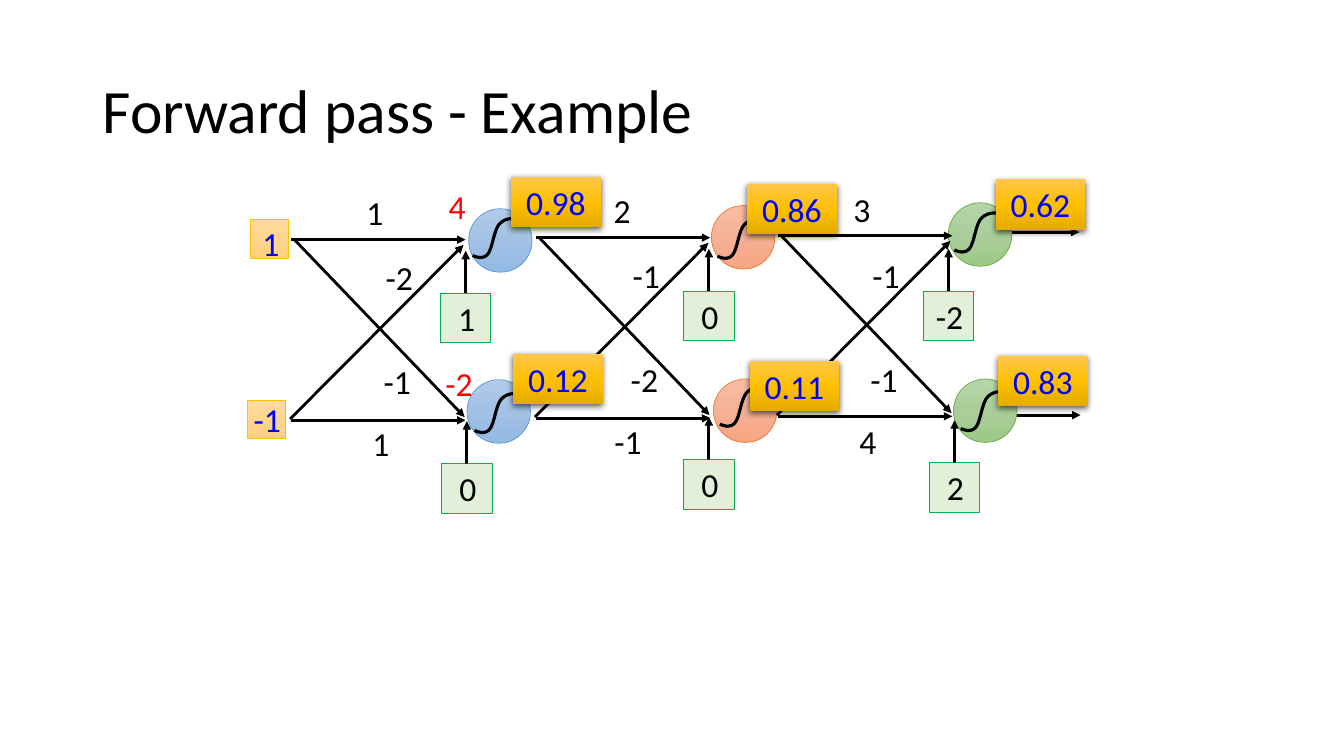
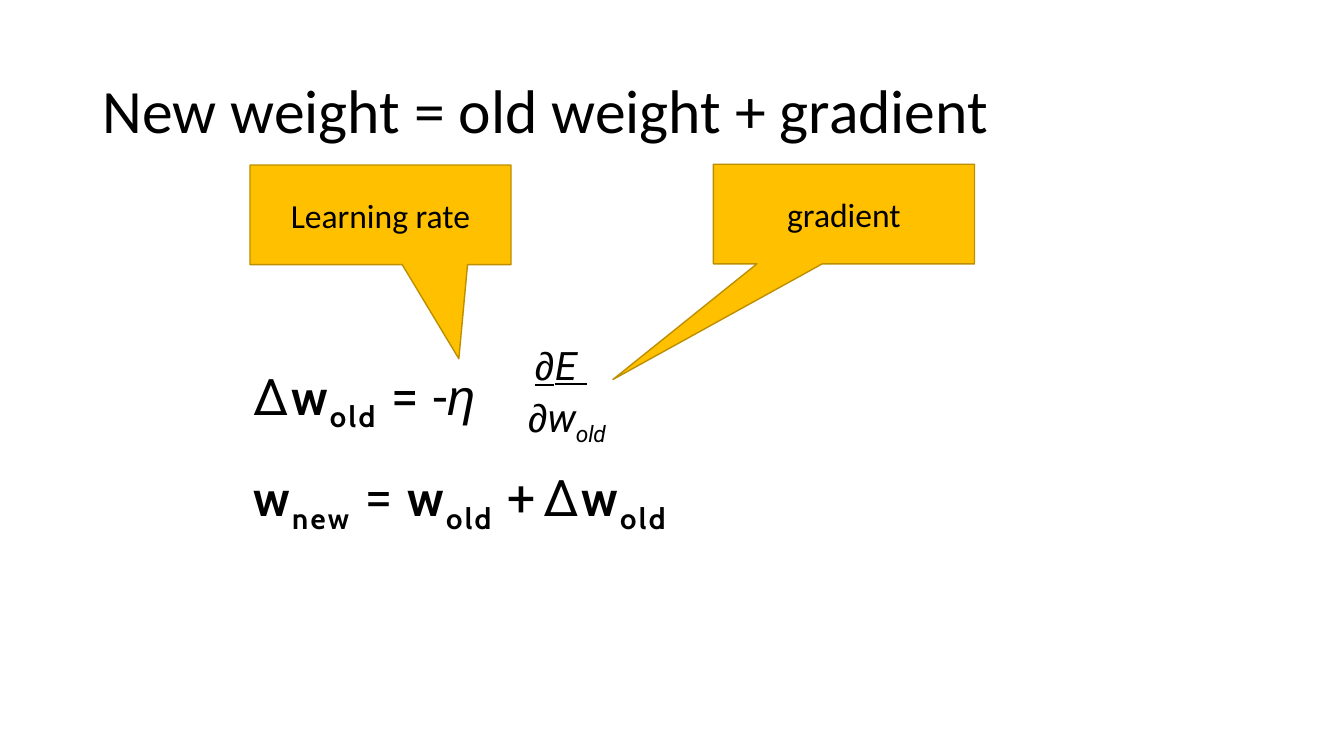
from collections import namedtuple

from lxml import etree
from pptx import Presentation
from pptx.dml.color import RGBColor
from pptx.enum.shapes import MSO_CONNECTOR, MSO_SHAPE
from pptx.enum.text import MSO_ANCHOR, PP_ALIGN
from pptx.oxml.ns import qn
from pptx.util import Cm, Pt

RECT = MSO_SHAPE.RECTANGLE
OVAL = MSO_SHAPE.OVAL
CALLOUT = MSO_SHAPE.RECTANGULAR_CALLOUT
STRAIGHT = MSO_CONNECTOR.STRAIGHT
LEFT, CENTER = PP_ALIGN.LEFT, PP_ALIGN.CENTER
TOP, MIDDLE = MSO_ANCHOR.TOP, MSO_ANCHOR.MIDDLE

BLACK = RGBColor(0, 0, 0)
RED = RGBColor(0xFF, 0, 0)
BLUE = RGBColor(0, 0, 0xFF)
GREEN = RGBColor(0, 0xB0, 0x50)
MINT = RGBColor(0xE2, 0xF0, 0xD9)
GOLD = RGBColor(0xFF, 0xC0, 0)
BRONZE = RGBColor(0xBD, 0x8E, 0)
SKY_EDGE = RGBColor(0x5B, 0x9B, 0xD5)
PEACH_EDGE = RGBColor(0xED, 0x7D, 0x31)
LEAF_EDGE = RGBColor(0x70, 0xAD, 0x47)

SKY = ("B1CBE9", "A3C1E5", "93B9E4")
PEACH = ("F7BDA5", "F5B196", "F8A582")
LEAF = ("B5D5A7", "AACE9A", "9CC987")
AMBER = ("FFC64B", "FFC000", "E3AB00")
SAND = ("FFDB9E", "FFD590", "FFD07C")

FONT = "Calibri"
NODE = 1.6
BIAS = (1.27, 1.25)
VALUE = (2.26, 1.27)

Cell = namedtuple("Cell", "node curve bias_at bias value_at value fill edge")
CELLS = (
    Cell((11.81, 5.26), (11.91, 5.5), (11.1, 7.39), "1", (12.88, 4.46), "0.98", SKY, SKY_EDGE),
    Cell((11.77, 9.57), (11.96, 9.91), (11.13, 11.68), "0", (12.93, 8.92), "0.12", SKY, SKY_EDGE),
    Cell((17.93, 5.18), (18.08, 5.52), (17.23, 7.34), "0", (18.83, 4.63), "0.86", PEACH, PEACH_EDGE),
    Cell((17.98, 9.55), (18.14, 9.75), (17.23, 11.58), "0", (18.89, 9.09), "0.11", PEACH, PEACH_EDGE),
    Cell((23.9, 5.11), (24.05, 5.36), (23.27, 7.34), "-2", (25.09, 4.52), "0.62", LEAF, LEAF_EDGE),
    Cell((24.03, 9.55), (24.21, 9.86), (23.42, 11.66), "2", (25.15, 8.97), "0.83", LEAF, LEAF_EDGE),
)

STAGES = (
    ((7.34, 6.04), (0, 0), ("1", "-2", "-1", "1")),
    ((13.51, 5.99), (0.06, 0), ("2", "-1", "-2", "-1")),
    ((19.61, 5.94), (0, 0.04), ("3", "-1", "-1", "4")),
)
LINKS = (
    (-0.03, 4.52, 4.34, 0.13),
    (0.08, 0, 4.37, 4.47),
    (0, 4.55, 4.39, 4.55),
    (0, 0, 4.39, 0),
)
SPOTS = ((2.11, -1.34), (2.72, 0.31), (2.67, 2.93), (2.26, 4.5))

SIGMOID = (
    (1.3, 0.03), (1.07, 0), (0.86, -0.03), (0.69, 0.13), (0.53, 0.28),
    (0.51, 0.76), (0.38, 0.91), (0.25, 1.04), (0.13, 0.99), (0, 0.94),
)

BOLD = {"name": "Cabin", "bold": True}
PLAIN = {"name": "Roboto"}
SLANT = {"name": "Arial", "italic": True}
ITALIC = {"name": "Roboto", "italic": True}
LINED = {"underline": True}
SUB = "-25000"
DELTA = ("∆", PLAIN, 170, None)
WEIGHT = ("w", BOLD, 170, None)
OLD = ("old", BOLD, 170, SUB)
GAP = (" ", BOLD, 460, SUB)
EQUAL = ("= ", PLAIN, 80, None)

CHANGE = (DELTA, WEIGHT, OLD, GAP, EQUAL, ("-", PLAIN, -330, None), ("η", SLANT, -20, None))
UPDATE = (
    WEIGHT, ("new", BOLD, 170, SUB), GAP, EQUAL, WEIGHT, OLD, GAP,
    ("+ ", PLAIN, -330, None), DELTA, WEIGHT, OLD,
)
UPPER = (("∂", SLANT | LINED, 70, None), ("E ", ITALIC | LINED, 70, None))
LOWER = (("∂", SLANT, -20, None), ("w", ITALIC, -20, None), ("old", ITALIC, -20, SUB))


def apply(target, values):
    for name, value in values.items():
        setattr(target, name, value)


def write(frame, text, size=24, color=BLACK, align=CENTER, anchor=MIDDLE):
    apply(frame, {"word_wrap": True, "vertical_anchor": anchor})
    para = frame.paragraphs[0]
    para.alignment = align
    run = para.add_run()
    run.text = text
    apply(run.font, {"name": FONT, "size": Pt(size)})
    run.font.color.rgb = color
    return para


def add_box(slide, left, top, width, height):
    return slide.shapes.add_textbox(Cm(left), Cm(top), Cm(width), Cm(height)).text_frame


def add_title(slide, text):
    frame = add_box(slide, 2.34, 1.02, 29.21, 3.68)
    write(frame, text, 44, align=LEFT).line_spacing = 0.9


def add_label(slide, text, center, top, color=BLACK):
    write(add_box(slide, center - 1, top, 2, 1.27), text, color=color, anchor=TOP)


def blend(shape, stops):
    shape.fill.gradient()
    shape.fill.gradient_angle = 270
    track = shape._element.spPr.find(qn("a:gradFill")).find(qn("a:gsLst"))
    for stop in list(track):
        track.remove(stop)
    for rank, color in enumerate(stops):
        stop = etree.SubElement(track, qn("a:gs"), pos=str(rank * 50000))
        etree.SubElement(stop, qn("a:srgbClr"), val=color)


def add_form(slide, kind, place, size, fill, edge=None, weight=0.5):
    shape = slide.shapes.add_shape(kind, *map(Cm, (*place, *size)))
    shape.shadow.inherit = False
    if isinstance(fill, RGBColor):
        shape.fill.solid()
        shape.fill.fore_color.rgb = fill
    else:
        blend(shape, fill)
    if edge is None:
        shape.line.fill.background()
    else:
        shape.line.color.rgb = edge
        shape.line.width = Pt(weight)
    return shape


def fill_box(shape, text, color=BLACK, drop=0, shift=0):
    frame = shape.text_frame
    apply(frame, {
        "margin_left": Cm(shift), "margin_right": 0,
        "margin_top": Cm(drop), "margin_bottom": 0,
    })
    write(frame, text, color=color)


def add_arrow(slide, x1, y1, x2, y2, source=None):
    link = slide.shapes.add_connector(STRAIGHT, *map(Cm, (x1, y1, x2, y2)))
    if source is not None:
        link.begin_connect(source, 0)
    link.line.color.rgb = BLACK
    link.line.width = Pt(2)
    line = link._element.spPr.find(qn("a:ln"))
    etree.SubElement(line, qn("a:tailEnd"), type="triangle")
    etree.SubElement(link._element.spPr, qn("a:effectLst"))


def bend(shape):
    lines = list(shape._element.iter(qn("a:lnTo")))
    track = lines[0].getparent()
    for first in range(0, len(lines), 3):
        curve = etree.SubElement(track, qn("a:cubicBezTo"))
        for line in lines[first:first + 3]:
            curve.append(line[0])
            track.remove(line)


def add_curve(slide, left, top):
    points = [(Cm(left + x), Cm(top + y)) for x, y in SIGMOID]
    pen = slide.shapes.build_freeform(*points[0])
    pen.add_line_segments(points[1:], close=False)
    shape = pen.convert_to_shape()
    bend(shape)
    shape.shadow.inherit = False
    shape.fill.background()
    shape.line.color.rgb = BLACK
    shape.line.width = Pt(2.25)


def add_value(slide, place, text):
    shape = add_form(slide, RECT, place, VALUE, AMBER)
    effects = shape._element.spPr.find(qn("a:effectLst"))
    shade = etree.SubElement(
        effects, qn("a:outerShdw"), blurRad=str(Pt(4.5)), dist=str(Pt(1.5)),
        dir="5400000", algn="ctr", rotWithShape="0")
    color = etree.SubElement(shade, qn("a:srgbClr"), val="000000")
    etree.SubElement(color, qn("a:alpha"), val="63000")
    fill_box(shape, text, BLUE)


def add_bias(slide, place, text):
    left, top = place
    box = add_form(slide, RECT, place, BIAS, MINT, GREEN)
    fill_box(box, text, shift=0.05)
    middle = left + BIAS[0] / 2
    add_arrow(slide, middle, top, middle, top - 1.07, box)


def add_stage(slide, start, shift, weights):
    left, top = start
    for x1, y1, x2, y2 in LINKS:
        add_arrow(slide, left + x1, top + y1, left + x2, top + y2)
    for text, (x, y) in zip(weights, SPOTS):
        add_label(slide, text, left + x + shift[0], top + y + shift[1])


def add_math(slide, place, size, lines, inset, font_size):
    frame = add_box(slide, *place, *size)
    apply(frame, {
        "word_wrap": True, "margin_left": 0, "margin_right": 0,
        "margin_top": Cm(inset), "margin_bottom": 0,
    })
    for rank, (runs, indent, gap) in enumerate(lines):
        para = frame.add_paragraph() if rank else frame.paragraphs[0]
        para.space_before = Pt(gap)
        para._p.get_or_add_pPr().set("marL", str(Cm(indent)))
        for text, style, spacing, base in runs:
            run = para.add_run()
            run.text = text
            apply(run.font, {"size": Pt(font_size), **style})
            run.font.color.rgb = BLACK
            props = run._r.get_or_add_rPr()
            props.set("spc", str(spacing))
            if base:
                props.set("baseline", base)


def add_callout(slide, place, tip, text):
    shape = add_form(slide, CALLOUT, place, (6.58, 2.51), GOLD, BRONZE, 1)
    shape.adjustments[0], shape.adjustments[1] = tip
    write(shape.text_frame, text)


def draw_pass(slide):
    add_title(slide, "Forward pass - Example")
    for y, end in ((10.46, 27.23), (5.85, 27.2)):
        add_arrow(slide, 25.4, y, end, y)
    for cell in CELLS:
        add_form(slide, OVAL, cell.node, (NODE, NODE), cell.fill, cell.edge)
    for stage in STAGES:
        add_stage(slide, *stage)
    for cell in CELLS:
        add_curve(slide, *cell.curve)
        add_bias(slide, cell.bias_at, cell.bias)
    add_label(slide, "4", 11.52, 4.55, RED)
    add_label(slide, "-2", 11.57, 9.02, RED)
    for cell in CELLS:
        add_value(slide, cell.value_at, cell.value)
    for text, place, drop in (("1", (6.32, 5.54), 0.2), ("-1", (6.23, 10.08), 0)):
        box = add_form(slide, RECT, place, (0.96, 0.96), SAND, GOLD)
        fill_box(box, text, BLUE, drop, 0.05)


def draw_rule(slide):
    add_title(slide, "New weight = old weight + gradient")
    for top, runs in ((9.14, CHANGE), (11.7, UPDATE)):
        add_math(slide, (6.3, top), (25.81, 1.6), ((runs, 0.08, 1.8),), 0.05, 36)
    lines = ((UPPER, 0.25, 5.2), (LOWER, 0.08, 3.4))
    add_math(slide, (13.23, 8.42), (3.38, 2.69), lines, 0.18, 28)
    add_callout(slide, (6.3, 4.16), (0.3, 1.445), "Learning rate")
    add_callout(slide, (17.98, 4.14), (-0.885, 1.661), "gradient")


def main():
    deck = Presentation()
    deck.slide_width, deck.slide_height = Cm(33.87), Cm(19.05)
    for draw in (draw_pass, draw_rule):
        draw(deck.slides.add_slide(deck.slide_layouts[6]))
    deck.save("out.pptx")


if __name__ == "__main__":
    main()
